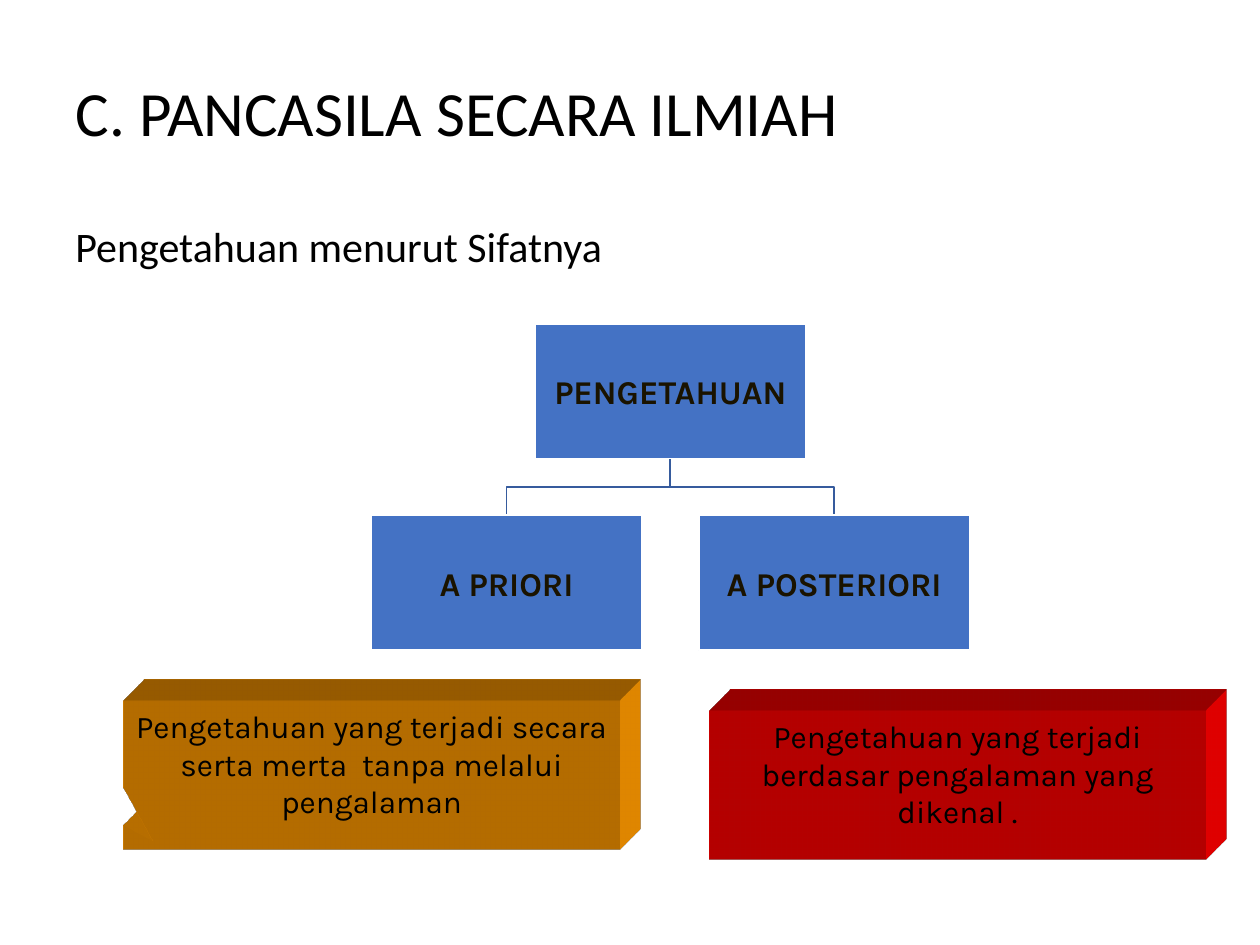
import lxml.etree
import pptx
import pptx.dml.color
import pptx.enum.shapes
import pptx.enum.text
import pptx.oxml.ns
import pptx.util

Inches = pptx.util.Inches
Pt = pptx.util.Pt
SHAPES = pptx.enum.shapes.MSO_SHAPE
ANCHOR = pptx.enum.text.MSO_ANCHOR
ALIGN = pptx.enum.text.PP_ALIGN

NODE_WIDTH, NODE_HEIGHT = 2.15, 1.07
ROOT_TOP, CHILD_TOP = 2.57, 4.09
CENTER, CHILD_OFFSET = 5.32, 1.3

EXTRUSION = """<root xmlns:a="{ns}">
<a:scene3d><a:camera prst="legacyObliqueTopRight"/><a:lightRig rig="legacyFlat3" dir="b"/></a:scene3d>
<a:sp3d extrusionH="430200" prstMaterial="legacyMatte">
<a:extrusionClr><a:srgbClr val="{color}"/></a:extrusionClr></a:sp3d></root>"""


def rgb(color):
    return pptx.dml.color.RGBColor.from_string(color)


def write(shape, text, font, size, color, align, anchor, bold=False, spacing=None):
    frame = shape.text_frame
    frame.word_wrap = True
    frame.vertical_anchor = anchor
    frame.text = text
    para = frame.paragraphs[0]
    para.alignment = align
    para.line_spacing = spacing
    span = para.runs[0]
    span.font.name = font
    span.font.size = Pt(size)
    span.font.bold = bold
    span.font.color.rgb = rgb(color)


def add_node(page, center, top, text):
    """Box of the tree, centred on a given x."""
    box = page.shapes.add_shape(
        SHAPES.RECTANGLE, Inches(center - NODE_WIDTH / 2), Inches(top),
        Inches(NODE_WIDTH), Inches(NODE_HEIGHT))
    box.shadow.inherit = False
    box.fill.solid()
    box.fill.fore_color.rgb = rgb("4472C4")
    box.line.color.rgb = rgb("FFFFFF")
    box.line.width = Pt(1)
    frame = box.text_frame
    frame.margin_left = frame.margin_right = Inches(0.01)
    frame.margin_top = frame.margin_bottom = Inches(0.01)
    write(box, text, "Karla", 19, "1A1300", ALIGN.CENTER, ANCHOR.MIDDLE, bold=True)


def add_branch(page, child_center):
    """Elbow line from the root box down to a child box."""
    start = ROOT_TOP + NODE_HEIGHT
    middle = (start + CHILD_TOP) / 2
    builder = page.shapes.build_freeform(Inches(CENTER), Inches(start))
    builder.add_line_segments(
        [(Inches(x), Inches(y)) for x, y in
         [(CENTER, middle), (child_center, middle), (child_center, CHILD_TOP)]],
        close=False)
    branch = builder.convert_to_shape()
    branch.shadow.inherit = False
    branch.fill.background()
    branch.line.color.rgb = rgb("365B9D")
    branch.line.width = Pt(1)


def add_callout(page, left, top, tip, color, text):
    """Extruded callout with an explanation."""
    box = page.shapes.add_shape(
        SHAPES.RECTANGULAR_CALLOUT, Inches(left), Inches(top), Inches(3.94), Inches(1.18))
    box.adjustments[0], box.adjustments[1] = tip
    box.shadow.inherit = False
    box.fill.solid()
    box.fill.fore_color.rgb = rgb(color)
    box.line.fill.background()
    namespace = pptx.oxml.ns.nsdecls("a").split('"')[1]
    parts = lxml.etree.fromstring(EXTRUSION.format(ns=namespace, color=color))
    for part in list(parts):
        box.element.spPr.append(part)
    write(box, text, "Karla", 18, "000000", ALIGN.CENTER, ANCHOR.TOP)


def main():
    deck = pptx.Presentation()
    deck.slide_width, deck.slide_height = Inches(10), Inches(7.5)
    page = deck.slides.add_slide(deck.slide_layouts[5])

    # Title and subtitle
    title = page.shapes.title
    title.left, title.top = Inches(0.5), Inches(0.3)
    title.width, title.height = Inches(9), Inches(1.25)
    write(title, "C. PANCASILA SECARA ILMIAH", "Calibri", 36, "000000",
          ALIGN.LEFT, ANCHOR.MIDDLE, spacing=0.9)
    subtitle = page.shapes.add_textbox(Inches(0.5), Inches(1.75), Inches(8.6), Inches(0.66))
    write(subtitle, "Pengetahuan menurut Sifatnya", "Calibri", 24, "000000",
          ALIGN.LEFT, ANCHOR.TOP, spacing=0.9)

    # Tree of knowledge
    children = [(CENTER - CHILD_OFFSET, "A PRIORI"), (CENTER + CHILD_OFFSET, "A POSTERIORI")]
    for center, _ in children:
        add_branch(page, center)
    add_node(page, CENTER, ROOT_TOP, "PENGETAHUAN")
    for center, text in children:
        add_node(page, center, CHILD_TOP, text)

    # Explanations
    add_callout(page, 0.98, 5.56, (-0.44, 0.44), "FF9900",
                "Pengetahuan yang terjadi secara serta merta  tanpa melalui pengalaman")
    add_callout(page, 5.63, 5.64, (-0.5, 0.15), "FF0000",
                "Pengetahuan yang terjadi berdasar pengalaman yang dikenal .")

    deck.save("out.pptx")


if __name__ == "__main__":
    main()
